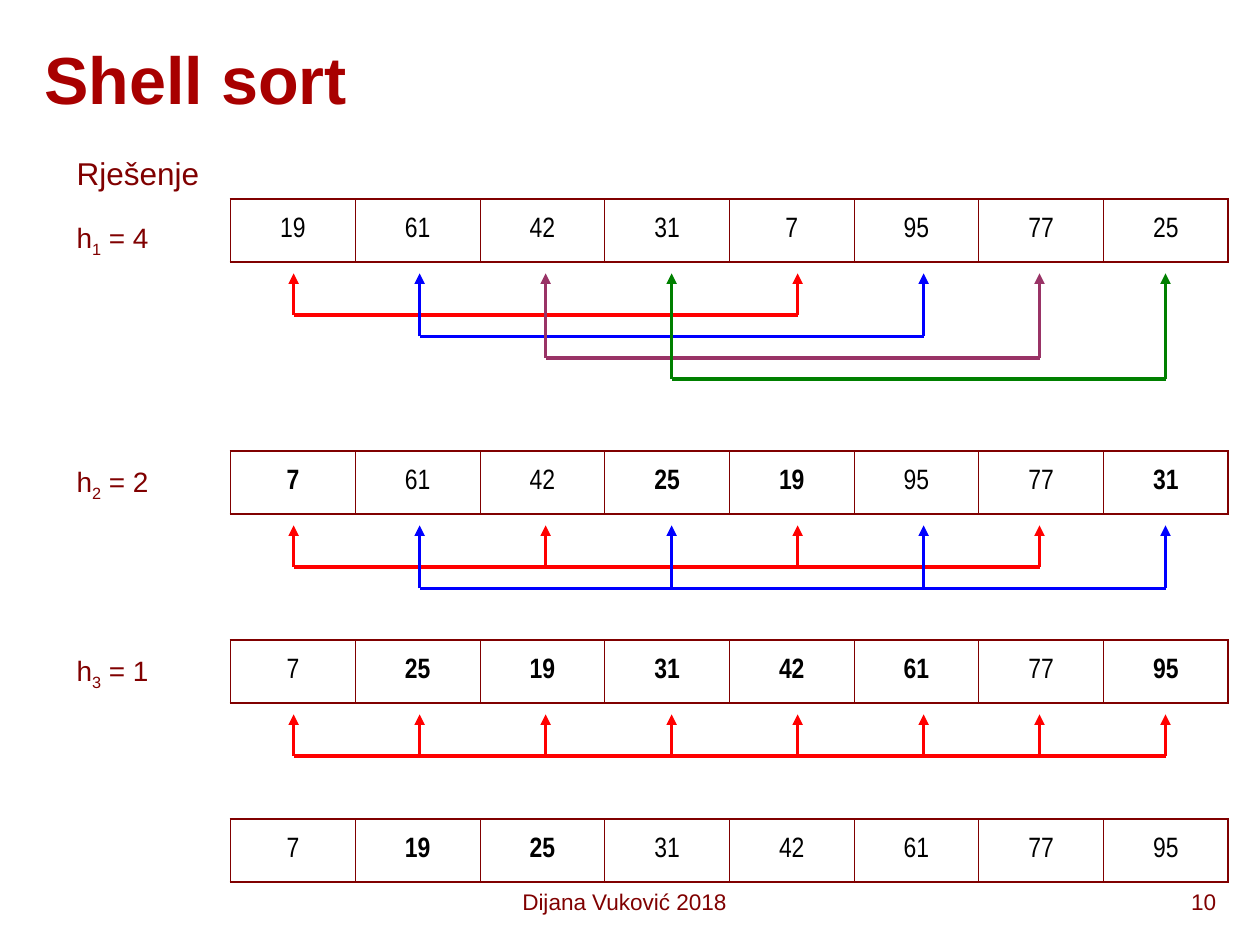
from pptx import Presentation
from pptx.dml.color import RGBColor
from pptx.enum.text import MSO_ANCHOR, MSO_AUTO_SIZE, PP_ALIGN
from pptx.oxml.ns import qn
from pptx.util import Inches, Pt
from lxml.etree import SubElement

TITLE_RED = RGBColor(0xA8, 0x00, 0x00)
MAROON = RGBColor(0x80, 0x00, 0x00)
BLACK = RGBColor(0x00, 0x00, 0x00)
RED = RGBColor(0xFF, 0x00, 0x00)
BLUE = RGBColor(0x00, 0x00, 0xFF)
PLUM = RGBColor(0x99, 0x33, 0x66)
GREEN = RGBColor(0x00, 0x80, 0x00)

ROW_LEFT, ROW_WIDTH, ROW_HEIGHT = 1.83, 7.92, 0.5
ARROW_X = [2.33 + i for i in range(6)] + [8.25, 9.25]
ARROW_GAP, FIRST_DEPTH, DEPTH_STEP = 0.09, 0.33, 0.17

# Each pass: top, label top, step, values, moved positions, bracket colours
PASSES = [
    (1.58, 1.70, 4, [19, 61, 42, 31, 7, 95, 77, 25], [], [RED, BLUE, PLUM, GREEN]),
    (3.58, 3.64, 2, [7, 61, 42, 25, 19, 95, 77, 31], [0, 3, 4, 7], [RED, BLUE]),
    (5.08, 5.14, 1, [7, 25, 19, 31, 42, 61, 77, 95], [1, 2, 3, 4, 5, 7], [RED]),
]
SORTED_TOP = 6.5
SORTED_VALUES, SORTED_MOVED = [7, 19, 25, 31, 42, 61, 77, 95], [1, 2]


def style(font, size, color, name="Arial", bold=False):
    font.size, font.name, font.bold = Pt(size), name, bold
    font.color.rgb = color


def add_title(slide, left, top, width, height):
    title = slide.shapes.title
    title.left, title.top = Inches(left), Inches(top)
    title.width, title.height = Inches(width), Inches(height)
    title.text_frame.text = "Shell sort"
    title.text_frame.vertical_anchor = MSO_ANCHOR.MIDDLE
    heading = title.text_frame.paragraphs[0]
    heading.alignment = PP_ALIGN.LEFT
    style(heading.font, 38, TITLE_RED, bold=True)


def add_text(slide, left, top, width, height, parts, size,
             align=PP_ALIGN.LEFT, wrap=False):
    """Add one line of text; odd-numbered parts are subscripts."""
    frame = slide.shapes.add_textbox(
        Inches(left), Inches(top), Inches(width), Inches(height)).text_frame
    frame.word_wrap = wrap
    frame.auto_size = MSO_AUTO_SIZE.NONE if wrap else MSO_AUTO_SIZE.SHAPE_TO_FIT_TEXT
    line = frame.paragraphs[0]
    line.alignment = align
    style(line.font, size, MAROON)
    for i, part in enumerate(parts):
        run = line.add_run()
        run.text = part
        if i % 2:
            run.font._element.set("baseline", "-25000")


def set_borders(cell, widths):
    properties = cell._tc.get_or_add_tcPr()
    for i, (side, width) in enumerate(widths.items()):
        border = properties.makeelement(qn("a:" + side), {"w": str(Pt(width))})
        fill = SubElement(border, qn("a:solidFill"))
        SubElement(fill, qn("a:srgbClr"), val=str(MAROON))
        properties.insert(i, border)


def add_array(slide, left, top, width, height, values, moved):
    """Add a one-row table with the moved values in bold."""
    table = slide.shapes.add_table(
        1, len(values), Inches(left), Inches(top), Inches(width), Inches(height)).table
    table.first_row = table.horz_banding = False
    last = len(values) - 1
    for i, value in enumerate(values):
        table.columns[i].width = Inches(width / len(values))
        cell = table.cell(0, i)
        cell.text = str(value)
        cell.vertical_anchor = MSO_ANCHOR.MIDDLE
        cell.fill.background()
        number = cell.text_frame.paragraphs[0]
        number.alignment = PP_ALIGN.CENTER
        style(number.font, 16, BLACK, "Arial Narrow", i in moved)
        set_borders(cell, {"lnL": 1.08 if i == 0 else 0.45,
                           "lnR": 1.08 if i == last else 0.45,
                           "lnT": 1.08, "lnB": 1.08})


def add_line(group, start, end, color, arrow=False):
    points = [Inches(v) for v in (*start, *end)]
    line = group.shapes.add_connector(1, *points)
    line.line.color.rgb = color
    line.line.width = Pt(2)
    if arrow:
        SubElement(line.line._get_or_add_ln(), qn("a:tailEnd"), type="triangle")
    SubElement(line._element.spPr, qn("a:effectLst"))


def add_bracket(slide, columns, top, depth, color):
    """Join the compared columns by a bar with an arrow up to each."""
    group = slide.shapes.add_group_shape()
    bottom = top + depth
    add_line(group, (columns[0], bottom), (columns[-1], bottom), color)
    for x in columns:
        add_line(group, (x, bottom), (x, top), color, arrow=True)


def add_pass(slide, number, top, label_top, step, values, moved, colors):
    add_array(slide, ROW_LEFT, top, ROW_WIDTH, ROW_HEIGHT, values, moved)
    add_text(slide, 0.51, label_top, 0.77, 0.41, ["h", str(number), f" = {step}"], 16)
    for i, color in enumerate(colors):
        add_bracket(slide, ARROW_X[i::step], top + ROW_HEIGHT + ARROW_GAP,
                    FIRST_DEPTH + i * DEPTH_STEP, color)


def add_footer(slide, top, height):
    add_text(slide, 3.74, top, 2.43, height, ["Dijana Vuković 2018"], 12.9,
             PP_ALIGN.CENTER, wrap=True)
    add_text(slide, 7.75, top, 2, height, ["10"], 12.9, PP_ALIGN.RIGHT, wrap=True)


def main():
    presentation = Presentation()
    presentation.slide_width, presentation.slide_height = Inches(10), Inches(7.5)
    slide = presentation.slides.add_slide(presentation.slide_layouts[5])
    add_title(slide, 0.25, 0.08, 9.5, 1.08)
    add_text(slide, 0.51, 1.17, 1.17, 0.4, ["Rješenje"], 18)
    for number, sort_pass in enumerate(PASSES, 1):
        add_pass(slide, number, *sort_pass)
    add_array(slide, ROW_LEFT, SORTED_TOP, ROW_WIDTH, ROW_HEIGHT,
              SORTED_VALUES, SORTED_MOVED)
    add_footer(slide, 7, 0.33)
    presentation.save("out.pptx")


if __name__ == "__main__":
    main()
